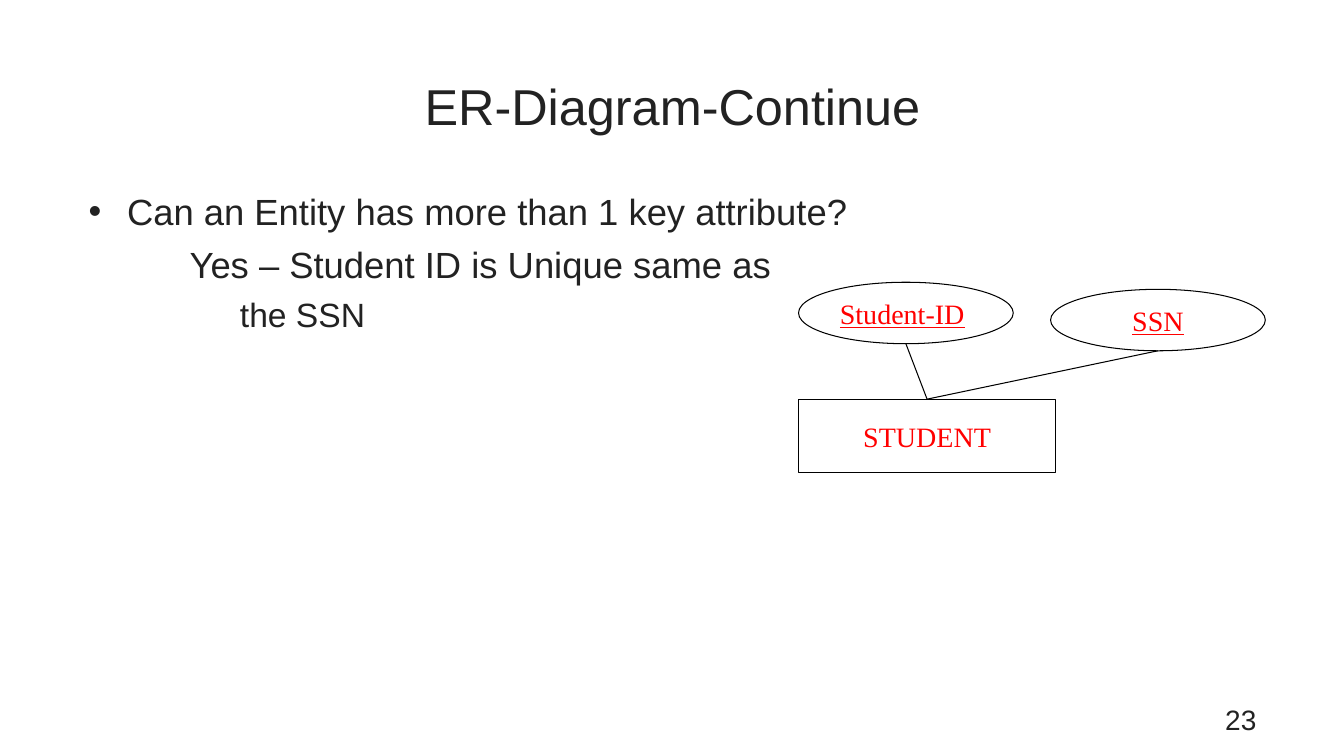
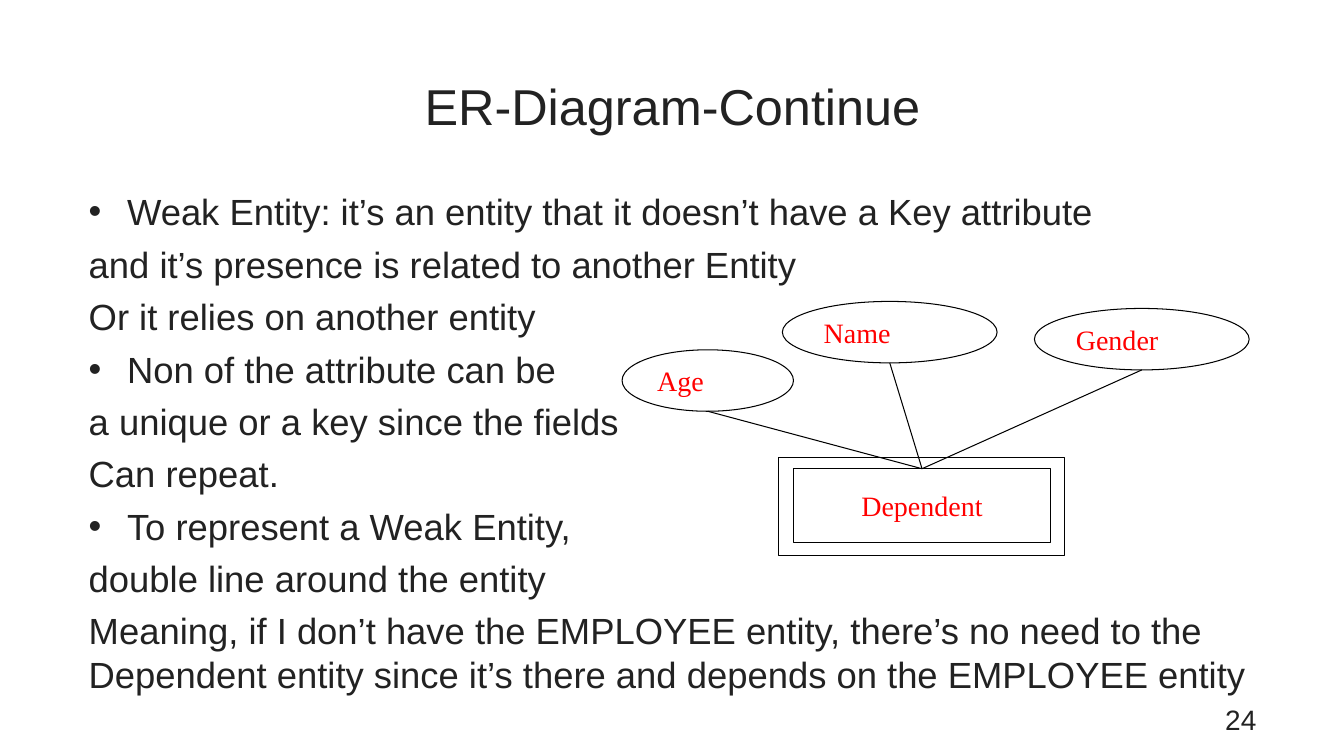
from lxml import etree
from pptx import Presentation
from pptx.dml.color import RGBColor
from pptx.enum.shapes import MSO_CONNECTOR, MSO_SHAPE
from pptx.enum.text import MSO_ANCHOR, MSO_AUTO_SIZE, PP_ALIGN
from pptx.oxml.ns import qn
from pptx.util import Pt

EMU_PER_PX = 9144
LEFT, CENTER, RIGHT = PP_ALIGN.LEFT, PP_ALIGN.CENTER, PP_ALIGN.RIGHT
TOP, MIDDLE = MSO_ANCHOR.TOP, MSO_ANCHOR.MIDDLE
RECTANGLE, OVAL = MSO_SHAPE.RECTANGLE, MSO_SHAPE.OVAL
STRAIGHT = MSO_CONNECTOR.STRAIGHT
FIXED_SIZE = MSO_AUTO_SIZE.NONE
COLORS = {"ink": "222222", "label": "FF0000", "line": "000000", "paper": "FFFFFF"}
HEADING = "ER-Diagram-Continue"
BULLET_INDENT = 38


def px(length):
    """Convert whole pixels to EMU."""
    return int(length * EMU_PER_PX)


def color(name):
    """Look up a colour of the deck."""
    return RGBColor.from_string(COLORS[name])


def write(paragraph, text, size=20, font="Arial", ink="ink", align=LEFT, underline=False):
    """Add formatted text to a paragraph."""
    paragraph.alignment = align
    run = paragraph.add_run()
    run.text = text
    run.font.size = Pt(size)
    run.font.name = font
    run.font.color.rgb = color(ink)
    if underline:
        run.font.underline = True


class Deck:
    """Style of the lecture and the slide being built."""

    def __init__(self):
        """Open an empty widescreen presentation."""
        self.presentation = Presentation()
        self.presentation.slide_width = px(1333)
        self.presentation.slide_height = px(750)
        self.slide = None

    def start(self, number):
        """Begin a slide with its heading and page number."""
        self.slide = self.presentation.slides.add_slide(self.presentation.slide_layouts[1])
        heading = self.frame(self.slide.shapes.title, 78, 42, 1178, 125, MIDDLE)
        write(heading.paragraphs[0], HEADING, size=36, align=CENTER)
        page = self.slide.shapes.add_textbox(0, 0, 0, 0)
        write(self.frame(page, 956, 692, 300, 42).paragraphs[0], str(number), align=RIGHT)

    def frame(self, holder, left, top, width, height, anchor=TOP):
        """Place a text holder and return its text frame."""
        holder.left, holder.top = px(left), px(top)
        holder.width, holder.height = px(width), px(height)
        text_frame = holder.text_frame
        text_frame.word_wrap = True
        text_frame.auto_size = FIXED_SIZE
        text_frame.vertical_anchor = anchor
        return text_frame

    def body(self, items):
        """Fill the body with (text, bulleted, indent, size) items."""
        body = self.frame(self.slide.placeholders[1], 78, 183, 1178, 500)
        for index, (text, bulleted, indent, size) in enumerate(items):
            paragraph = body.add_paragraph() if index else body.paragraphs[0]
            write(paragraph, text, size=size)
            paragraph.space_before = Pt(size * 0.24)
            properties = paragraph._p.get_or_add_pPr()
            properties.set("marL", str(px(BULLET_INDENT if bulleted else indent)))
            properties.set("indent", str(px(-BULLET_INDENT if bulleted else 0)))
            if bulleted:
                etree.SubElement(properties, qn("a:buChar")).set("char", "•")
            else:
                etree.SubElement(properties, qn("a:buNone"))

    def outline(self, preset, left, top, width, height):
        """Draw a white shape with a thin black outline."""
        shape = self.slide.shapes.add_shape(preset, px(left), px(top), px(width), px(height))
        shape.shadow.inherit = False
        shape.fill.solid()
        shape.fill.fore_color.rgb = color("paper")
        shape.line.color.rgb = color("line")
        shape.line.width = Pt(0.75)
        return shape

    def label(self, shape, text, anchor, **style):
        """Write a red serif label in a diagram shape."""
        shape.text_frame.vertical_anchor = anchor
        write(shape.text_frame.paragraphs[0], text, font="Times New Roman", ink="label", **style)

    def entity(self, name, left, top):
        """Draw an entity rectangle."""
        entity = self.outline(RECTANGLE, left, top, 255, 73)
        self.label(entity, name, MIDDLE, align=CENTER)
        return entity

    def attribute(self, entity, name, left, top, width=213, **style):
        """Draw an attribute ellipse and tie it to its entity."""
        attribute = self.outline(OVAL, left, top, width, 61)
        self.label(attribute, name, TOP, **style)
        foot_x = attribute.left + attribute.width // 2
        foot_y = attribute.top + attribute.height
        tie = self.slide.shapes.add_connector(STRAIGHT, foot_x, foot_y, foot_x, foot_y)
        tie.begin_connect(entity, 0)
        tie.line.color.rgb = color("line")
        tie.line.width = Pt(0.75)
        etree.SubElement(tie._element.spPr, qn("a:effectLst"))


def point(text):
    """Describe a bulleted line."""
    return text, True, 0, 26


def plain(text, indent=0, size=26):
    """Describe a line without a bullet."""
    return text, False, indent, size


def main():
    """Build both slides and save them."""
    deck = Deck()

    deck.start(23)
    deck.body([
        point("Can an Entity has more than 1 key attribute?"),
        plain("Yes – Student ID is Unique same as", indent=100),
        plain("the SSN", indent=150, size=24),
    ])
    student = deck.entity("STUDENT", 792, 396)
    deck.attribute(student, "SSN", 1042, 287, align=CENTER, underline=True)
    deck.attribute(student, "Student-ID", 792, 280, underline=True)

    deck.start(24)
    deck.body([
        point("Weak Entity: it’s an entity that it doesn’t have a Key attribute"),
        plain("and it’s presence is related to another Entity"),
        plain("Or it relies on another entity"),
        point("Non of the attribute can be"),
        plain("a unique or a key since the fields"),
        plain("Can repeat."),
        point("To represent a Weak Entity,"),
        plain("double line around the entity"),
        plain("Meaning, if I don’t have the EMPLOYEE entity, there’s no need to the "
              "Dependent entity since it’s there and depends on the EMPLOYEE entity"),
    ])
    deck.outline(RECTANGLE, 772, 454, 284, 97)
    dependent = deck.entity("Dependent", 787, 465)
    deck.attribute(dependent, "Gender", 1026, 306)
    deck.attribute(dependent, "Name", 776, 299)
    deck.attribute(dependent, "Age", 617, 347, width=170)

    deck.presentation.save("out.pptx")


if __name__ == "__main__":
    main()
